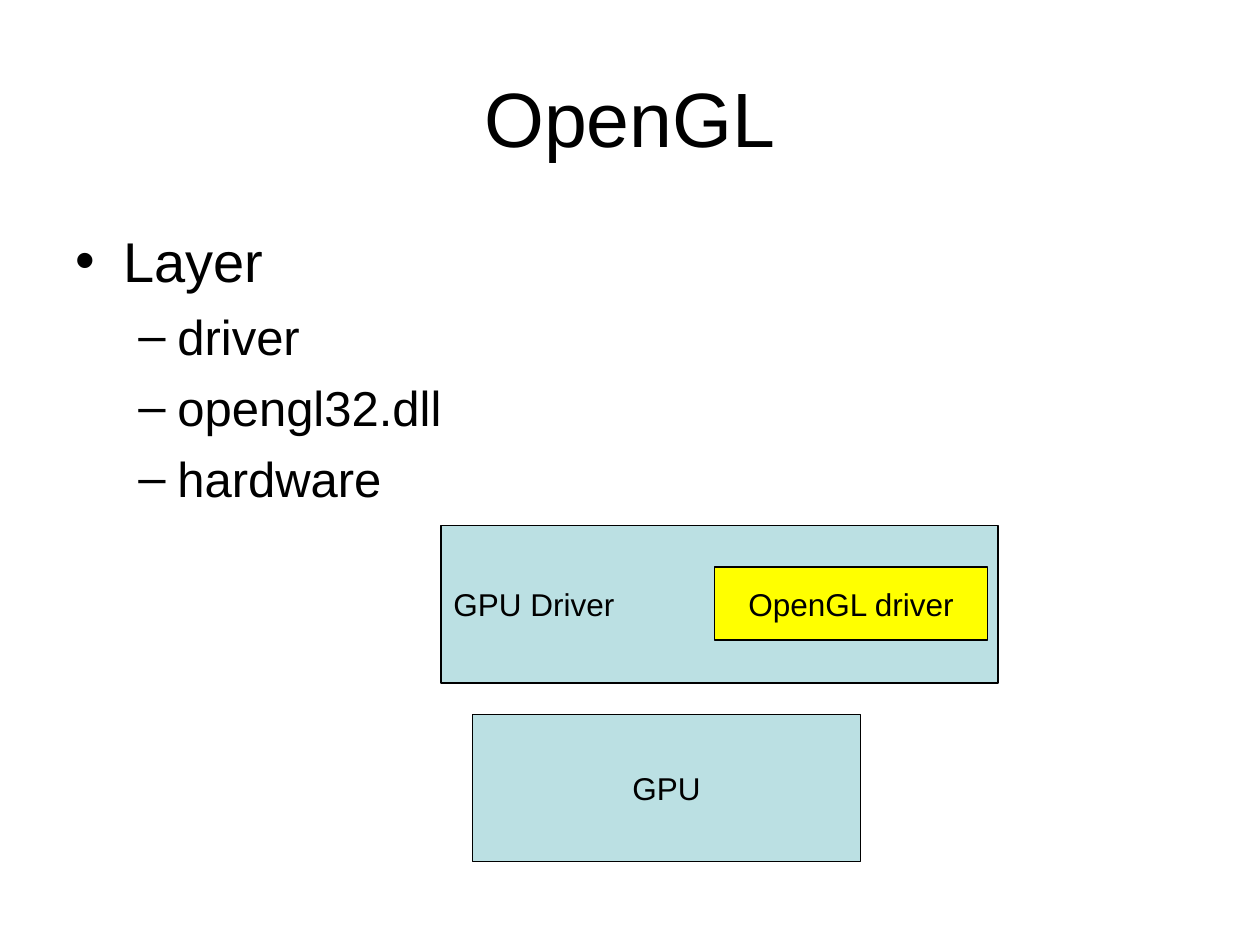
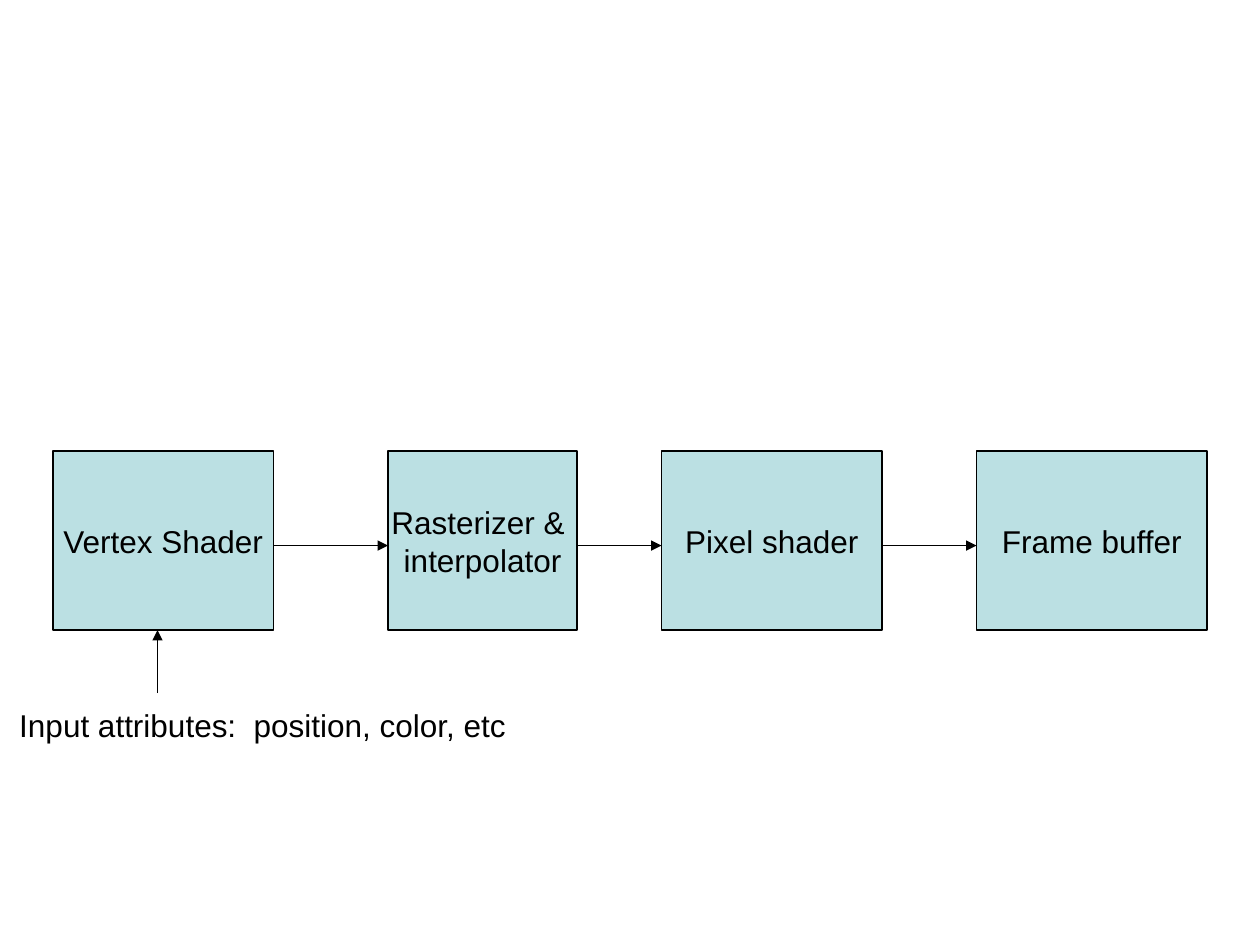
from dataclasses import dataclass
from itertools import pairwise

from lxml import etree
from pptx import Presentation
from pptx import util as u
from pptx.dml.color import RGBColor
from pptx.enum import shapes, text
from pptx.oxml.ns import qn

LEFT, MID = text.PP_ALIGN.LEFT, text.PP_ALIGN.CENTER


# Shared look
@dataclass(frozen=True)
class Theme:
    font: str = "Arial"
    ink: str = "000000"
    aqua: str = "BBE0E3"
    gold: str = "FFFF00"
    head: int = 44
    item: int = 32
    sub: int = 28
    label: int = 18
    rule: float = 0.75


THEME = Theme()


@dataclass(frozen=True)
class Box:
    words: str
    left: float
    top: float
    width: float
    height: float
    fill: str = THEME.aqua
    align: text.PP_ALIGN = MID


@dataclass(frozen=True)
class Level:
    size: int
    mark: str
    left: float
    hang: float
    gap: int


TOP = Level(THEME.item, "•", 0.38, 0.38, 8)
SUB = Level(THEME.sub, "–", 0.81, 0.31, 7)


# Text
def write(frame, words: str, *, size: int = THEME.label, align=MID,
          anchor=text.MSO_ANCHOR.MIDDLE, wrap: bool = False) -> None:
    """Put words in a frame, one paragraph a line."""
    frame.auto_size = text.MSO_AUTO_SIZE.NONE
    frame.word_wrap = wrap
    frame.vertical_anchor = anchor
    frame.text = words
    for par in frame.paragraphs:
        par.alignment = align
        par.font.size = u.Pt(size)
        par.font.name = THEME.font
        par.font.color.rgb = RGBColor.from_string(THEME.ink)


def place(shape, left: float, top: float, width: float, height: float) -> None:
    shape.left, shape.top = u.Inches(left), u.Inches(top)
    shape.width, shape.height = u.Inches(width), u.Inches(height)


def add_text(slide, left: float, top: float, width: float, height: float):
    area = map(u.Inches, (left, top, width, height))
    return slide.shapes.add_textbox(*area).text_frame


def add_list(slide, items: list[tuple[Level, str]]) -> None:
    frame = add_text(slide, 0.5, 1.75, 9, 4.95)
    write(frame, "\n".join(words for _, words in items), align=LEFT,
          anchor=text.MSO_ANCHOR.TOP, wrap=True)
    for par, (level, _) in zip(frame.paragraphs, items):
        par.font.size = u.Pt(level.size)
        par.space_before = u.Pt(level.gap)
        props = par._p.get_or_add_pPr()
        props.set("marL", str(u.Inches(level.left)))
        props.set("indent", str(-u.Inches(level.hang)))
        etree.SubElement(props, qn("a:buFont"), typeface=THEME.font)
        etree.SubElement(props, qn("a:buChar"), char=level.mark)


# Boxes and arrows
def stroke(line) -> None:
    line.color.rgb = RGBColor.from_string(THEME.ink)
    line.width = u.Pt(THEME.rule)


def add_box(slide, box: Box) -> None:
    area = map(u.Inches, (box.left, box.top, box.width, box.height))
    shape = slide.shapes.add_shape(shapes.MSO_SHAPE.RECTANGLE, *area)
    shape.shadow.inherit = False
    shape.fill.solid()
    shape.fill.fore_color.rgb = RGBColor.from_string(box.fill)
    stroke(shape.line)
    write(shape.text_frame, box.words, align=box.align)


def add_arrow(slide, x1: float, y1: float, x2: float, y2: float) -> None:
    ends = map(u.Inches, (x1, y1, x2, y2))
    arrow = slide.shapes.add_connector(shapes.MSO_CONNECTOR.STRAIGHT, *ends)
    stroke(arrow.line)
    props = arrow.element.spPr
    etree.SubElement(props.find(qn("a:ln")), qn("a:tailEnd"), type="triangle")
    etree.SubElement(props, qn("a:effectLst"))


# Slides
def layers(deck) -> None:
    slide = deck.slides.add_slide(deck.slide_layouts.get_by_name("Title Only"))
    title = slide.shapes.title
    place(title, 0.5, 0.3, 9, 1.25)
    write(title.text_frame, "OpenGL", size=THEME.head, wrap=True)
    add_list(slide, [(TOP, "Layer"), (SUB, "driver"),
                     (SUB, "opengl32.dll"), (SUB, "hardware")])
    for box in (
        Box("GPU", 3.75, 5.67, 3.08, 1.17),
        Box("GPU Driver", 3.5, 4.17, 4.42, 1.25, align=LEFT),
        Box("OpenGL driver", 5.67, 4.5, 2.17, 0.58, THEME.gold),
    ):
        add_box(slide, box)


def pipeline(deck) -> None:
    slide = deck.slides.add_slide(deck.slide_layouts.get_by_name("Blank"))
    top, height, flow = 3.58, 1.42, 4.33
    stages = [Box(words, left, top, width, height) for words, left, width in (
        ("Vertex Shader", 0.42, 1.75),
        ("Rasterizer & \ninterpolator", 3.08, 1.5),
        ("Pixel shader", 5.25, 1.75),
        ("Frame buffer", 7.75, 1.83),
    )]
    for stage in stages:
        add_box(slide, stage)
    for prev, post in pairwise(stages):
        add_arrow(slide, prev.left + prev.width, flow, post.left, flow)

    # Input to the first stage
    left, base = 1.25, 5.5
    write(add_text(slide, left, base, 1.67, 0.5),
          "Input attributes:  position, color, etc")
    add_arrow(slide, left, base, left, top + height)


def main() -> None:
    deck = Presentation()
    deck.slide_width, deck.slide_height = u.Inches(10), u.Inches(7.5)
    layers(deck)
    pipeline(deck)
    deck.save("out.pptx")


if __name__ == "__main__":
    main()
